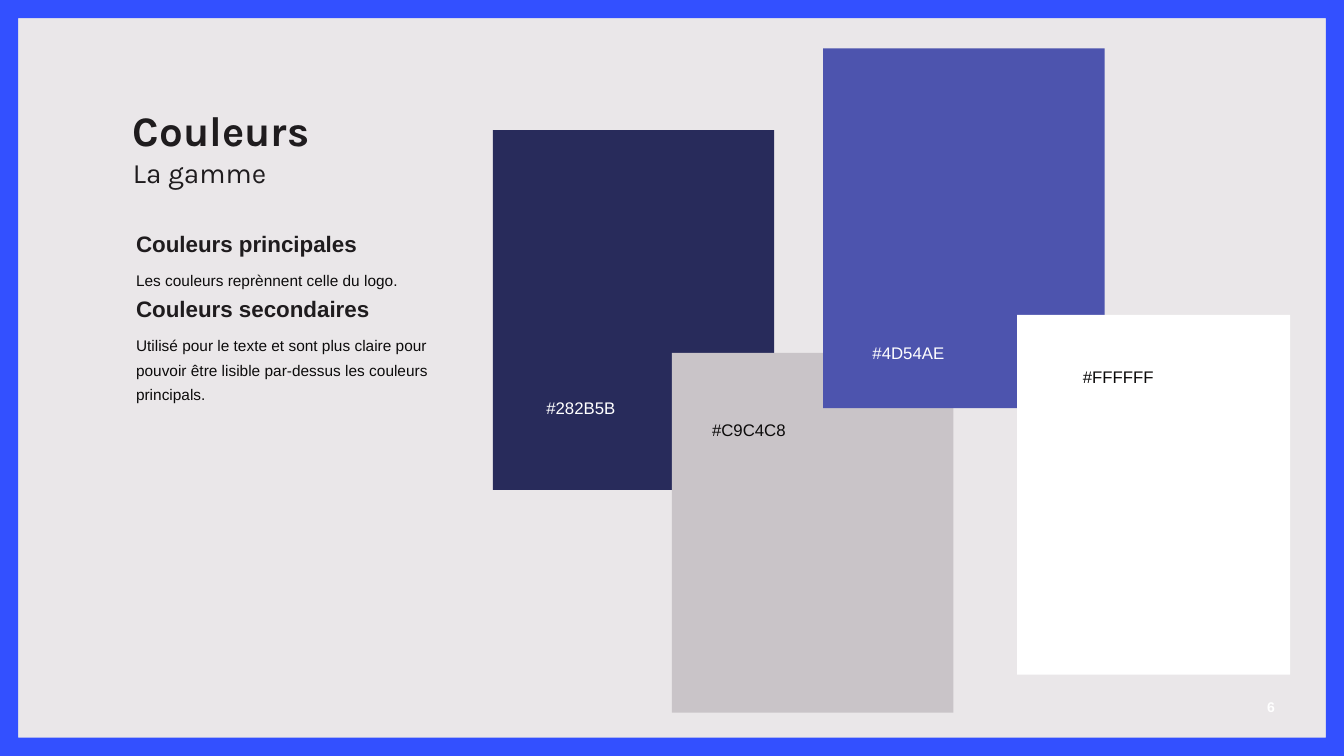
from pptx import Presentation
from pptx.dml.color import RGBColor
from pptx.enum import shapes, text
from pptx.util import Pt

BLUE = RGBColor(0x33, 0x50, 0xFF)
BACKDROP = RGBColor(0xEA, 0xE7, 0xE9)
NAVY = RGBColor(0x28, 0x2B, 0x5B)
GREY = RGBColor(0xC9, 0xC4, 0xC8)
INDIGO = RGBColor(0x4D, 0x54, 0xAE)
WHITE = RGBColor(0xFF, 0xFF, 0xFF)
HEADING = RGBColor(0x1F, 0x1C, 0x1E)
INK = RGBColor(0x0C, 0x0B, 0x0B)

WIDTH, HEIGHT, BORDER = 960, 540, 13
CARD_HEIGHT = 257
LABEL_HEIGHT = 21.6
LEFT, CENTER = text.PP_ALIGN.LEFT, text.PP_ALIGN.CENTER

# card left, top, width, colour; label left, top, width, colour, alignment
SWATCHES = [
    (352, 92.9, 201, NAVY, 390.25, 280.8, 101.5, WHITE, LEFT),
    (480, 252, 201, GREY, 508.6, 296.3, 92.2, INK, LEFT),
    (588, 34.6, 201, INDIGO, 623.2, 241.5, 101.5, WHITE, LEFT),
    (726.5, 225, 195, WHITE, 771.8, 258.6, 61.2, INK, CENTER),
]

SECTIONS = [
    ("Couleurs principales", "Les couleurs reprènnent celle du logo."),
    ("Couleurs secondaires",
     "Utilisé pour le texte et sont plus claire pour pouvoir être lisible "
     "par-dessus les couleurs principals."),
]


def add_block(slide, kind, left, top, width, height, color):
    """Add a plain filled shape without outline or shadow."""
    shape = slide.shapes.add_shape(kind, Pt(left), Pt(top), Pt(width), Pt(height))
    shape.shadow.inherit = False
    shape.fill.solid()
    shape.fill.fore_color.rgb = color
    shape.line.fill.background()
    return shape


def add_run(paragraph, content, size, color, bold=False, font="Arial"):
    """Append one formatted run to a paragraph."""
    run = paragraph.add_run()
    run.text = content
    run.font.name = font
    run.font.size = Pt(size)
    run.font.bold = bold
    run.font.color.rgb = color


def add_text_frame(slide, left, top, width, height):
    """Add a wrapping text box and return its text frame."""
    frame = slide.shapes.add_textbox(Pt(left), Pt(top), Pt(width), Pt(height)).text_frame
    frame.word_wrap = True
    frame.margin_left = 0
    return frame


def add_label(slide, content, left, top, width, color, alignment, size=12, bold=False):
    """Add a one-line label."""
    paragraph = add_text_frame(slide, left, top, width, LABEL_HEIGHT).paragraphs[0]
    paragraph.alignment = alignment
    add_run(paragraph, content, size, color, bold)


def format_title(slide):
    """Place the title and subtitle in front of the backdrop."""
    title = slide.shapes.title
    title.left, title.top, title.width, title.height = Pt(95), Pt(75), Pt(230), Pt(81)
    frame = title.text_frame
    frame.margin_left = frame.margin_top = frame.margin_right = frame.margin_bottom = 0
    frame.vertical_anchor = text.MSO_ANCHOR.TOP
    frame.auto_size = text.MSO_AUTO_SIZE.NONE
    paragraph = frame.paragraphs[0]
    paragraph.alignment = LEFT
    add_run(paragraph, "Couleurs", 30, HEADING, True, "Karla")
    paragraph.add_line_break()
    add_run(paragraph, "La gamme", 20, HEADING, False, "Karla")
    title.element.getparent().append(title.element)


def add_sections(slide):
    """Add the headed explanations of the palette."""
    frame = add_text_frame(slide, 97.2, 162.7, 228.2, 149.8)
    paragraph = frame.paragraphs[0]
    for index, (heading, body) in enumerate(SECTIONS):
        if index:
            paragraph = frame.add_paragraph()
        paragraph.space_before = Pt(6 if index else 12)
        paragraph.line_spacing = Pt(17.4 if index else 17.2)
        add_run(paragraph, heading, 16, HEADING, True)
        paragraph = frame.add_paragraph()
        paragraph.space_before = Pt(6)
        paragraph.line_spacing = Pt(17.4)
        add_run(paragraph, body, 11, INK)


def main():
    """Build the colour palette slide."""
    presentation = Presentation()
    presentation.slide_width, presentation.slide_height = Pt(WIDTH), Pt(HEIGHT)
    slide = presentation.slides.add_slide(presentation.slide_layouts[5])
    rectangle = shapes.MSO_SHAPE.RECTANGLE
    add_block(slide, rectangle, 8.6, 5, 942.5, 530, BACKDROP)
    for left, top, width, color, *_ in SWATCHES:
        add_block(slide, rectangle, left, top, width, CARD_HEIGHT, color)
    border = add_block(slide, shapes.MSO_SHAPE.FRAME, 0, 0, WIDTH, HEIGHT, BLUE)
    border.adjustments[0] = BORDER / HEIGHT
    for _, _, _, color, *label in SWATCHES:
        add_label(slide, f"#{color}", *label)
    format_title(slide)
    add_sections(slide)
    add_label(slide, "6", 896, 495.5, 31, WHITE, CENTER, 10, True)
    presentation.save("out.pptx")


if __name__ == "__main__":
    main()
